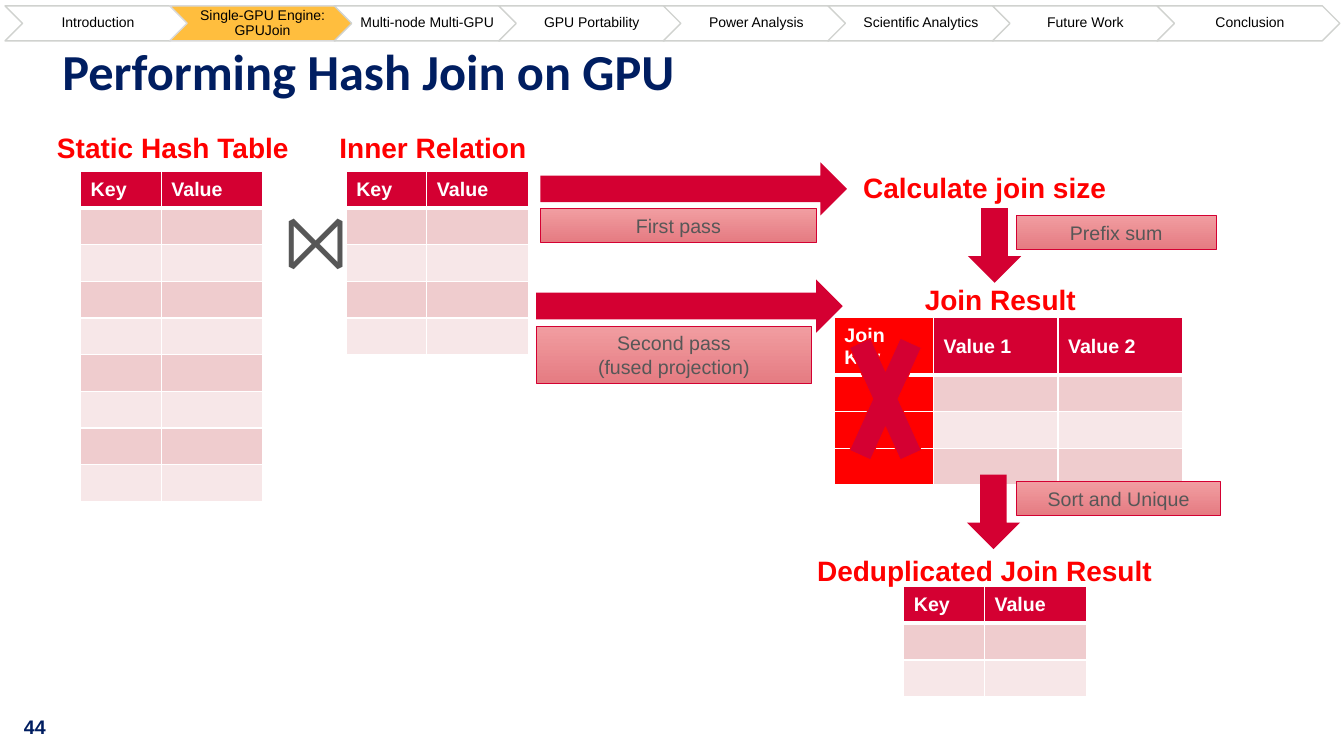
from lxml.etree import SubElement
from pptx import Presentation
from pptx.dml.color import RGBColor
from pptx.enum.shapes import MSO_SHAPE
from pptx.enum.text import MSO_ANCHOR, PP_ALIGN
from pptx.oxml.ns import qn
from pptx.util import Pt

# Content: positions are left, top, width, height in points
CRIMSON, RED, NAVY, GREY = "D40032", "FF0000", "001E61", "575757"
BANDS = ("EFCCCE", "F7E7E8")

STEPS = ["Introduction", "Single-GPU Engine: GPUJoin", "Multi-node Multi-GPU",
         "GPU Portability", "Power Analysis", "Scientific Analytics",
         "Future Work", "Conclusion"]
CURRENT_STEP = 1

TITLE = ("Performing Hash Join on GPU", (44.6, 33.8, 870, 64))
PAGE_NUMBER = ("44", (10, 507, 47.5, 24.2))
JOIN_SYMBOL = ("⨝", (196.6, 134.6, 43.2, 72.7))

HEADINGS = [
    ("Static Hash Table", (29.5, 90, 188, 31.5)),
    ("Inner Relation", (206, 90, 206.6, 31.5)),
    ("Calculate join size", (585.4, 118, 236, 31.5)),
    ("Join Result", (611.3, 198, 206.6, 31.5)),
    ("Deduplicated Join Result", (573, 391.7, 260.6, 31.5)),
]

# left, top, column widths, header height, header, empty rows, red columns
PAIR = (57.6, 72.7)
ROW_H = 26.2
TABLES = [
    (57.6, 122.4, PAIR, ROW_H, ["Key", "Value"], 8, 0),
    (247.3, 122.4, PAIR, ROW_H, ["Key", "Value"], 4, 0),
    (596, 227, (70.9, 88.8, 88.8), 40.9, ["Join Key", "Value 1", "Value 2"], 3, 1),
    (645.6, 419, PAIR, ROW_H, ["Key", "Value"], 2, 0),
]

ARROWS = [
    (MSO_SHAPE.DOWN_ARROW, (691.4, 148.7, 38, 53.3)),
    (MSO_SHAPE.RIGHT_ARROW, (386, 115.9, 219, 38)),
    (MSO_SHAPE.RIGHT_ARROW, (383, 199.6, 219, 38)),
    (MSO_SHAPE.DOWN_ARROW, (690.6, 339, 38, 53.3)),
]
CROSS = (597.6, 208, 69.8, 154)

LABELS = [
    ("First pass", (386, 149, 197.3, 24.2)),
    ("Second pass\n(fused projection)", (383, 232.8, 196.8, 41)),
    ("Prefix sum", (726, 153.8, 142.6, 24.2)),
    ("Sort and Unique", (726, 344, 146, 24.2)),
]

prs = Presentation()
prs.slide_width, prs.slide_height = Pt(960), Pt(540)
s = prs.slides.add_slide(prs.slide_layouts[6])


def rgb(hex_color):
    return RGBColor.from_string(hex_color)


def write(tf, text, size, color, bold=False, align=PP_ALIGN.CENTER,
          font="Arial", spacing=None):
    tf.text = text
    tf.word_wrap = True
    for p in tf.paragraphs:
        p.alignment = align
        p.line_spacing = spacing
        for r in p.runs:
            r.font.name, r.font.size, r.font.bold = font, Pt(size), bold
            r.font.color.rgb = rgb(color)


def set_margins(tf, left, top, right, bottom):
    tf.margin_left, tf.margin_top = Pt(left), Pt(top)
    tf.margin_right, tf.margin_bottom = Pt(right), Pt(bottom)


def add_text(text, box, size, color, **style):
    tf = s.shapes.add_textbox(*map(Pt, box)).text_frame
    write(tf, text, size, color, **style)
    return tf


def add_shape(kind, box, fill=None, line=None, width=0.5):
    sp = s.shapes.add_shape(kind, *map(Pt, box))
    sp.shadow.inherit = False
    if fill:
        sp.fill.solid()
        sp.fill.fore_color.rgb = rgb(fill)
    if line:
        sp.line.color.rgb = rgb(line)
        sp.line.width = Pt(width)
    else:
        sp.line.fill.background()
    return sp


def style_cell(cell, fill, bottom=1):
    tc_pr = cell._tc.get_or_add_tcPr()
    for side, width in (("L", 1), ("R", 1), ("T", 1), ("B", bottom)):
        ln = SubElement(tc_pr, qn("a:ln" + side), w=str(Pt(width)))
        solid = SubElement(ln, qn("a:solidFill"))
        SubElement(solid, qn("a:srgbClr"), val="FFFFFF")
    cell.fill.solid()
    cell.fill.fore_color.rgb = rgb(fill)


def add_table(left, top, widths, header_h, header, empty_rows, red_columns):
    height = header_h + empty_rows * ROW_H
    box = map(Pt, (left, top, sum(widths), height))
    table = s.shapes.add_table(empty_rows + 1, len(widths), *box).table
    for row in table.rows:
        row.height = Pt(ROW_H)
    table.rows[0].height = Pt(header_h)
    for c, (width, name) in enumerate(zip(widths, header)):
        table.columns[c].width = Pt(width)
        head = table.cell(0, c)
        write(head.text_frame, name, 14, "FFFFFF", bold=True, align=PP_ALIGN.LEFT)
        head.vertical_anchor = MSO_ANCHOR.MIDDLE
        style_cell(head, RED if c < red_columns else CRIMSON, bottom=3)
        for n in range(empty_rows):
            cell = table.cell(n + 1, c)
            # Small end mark keeps the empty row at its set height
            SubElement(cell.text_frame.paragraphs[0]._p, qn("a:endParaRPr"), sz="1400")
            style_cell(cell, RED if c < red_columns else BANDS[n % 2])


# Title and page number
tf = add_text(*TITLE, 36, NAVY, bold=True, align=PP_ALIGN.LEFT,
              font="Calibri", spacing=0.9)
set_margins(tf, 0, 0, 0, 0)
add_text(*PAGE_NUMBER, 14, NAVY, bold=True, align=PP_ALIGN.LEFT)

# Tables and their headings
for table_data in TABLES:
    add_table(*table_data)
for text, box in HEADINGS:
    add_text(text, box, 20, RED, bold=True)
add_text(*JOIN_SYMBOL, 54, GREY)

# Flow arrows, their labels and the cross over the join key
for kind, box in ARROWS:
    add_shape(kind, box, CRIMSON)
for text, box in LABELS:
    sp = add_shape(MSO_SHAPE.RECTANGLE, box, line=CRIMSON)
    sp.fill.gradient()
    sp.fill.gradient_angle = 270
    for stop, color in zip(sp.fill.gradient_stops, ("F19DA1", "E57C82")):
        stop.color.rgb = rgb(color)
    stops = sp.fill.gradient_stops
    stops[0].position, stops[1].position = 0, 1
    write(sp.text_frame, text, 14, GREY)
add_shape(MSO_SHAPE.MATH_MULTIPLY, CROSS, CRIMSON, RED)

# Progress bar
for i, text in enumerate(STEPS):
    fill, line = ("FFBE3E", "D9D9D9") if i == CURRENT_STEP else ("FFFFFF", "D0D2CF")
    box = (3.6 + i * 117.55, 4.2, 130.6, 25)
    sp = add_shape(MSO_SHAPE.CHEVRON, box, fill, line, 1)
    write(sp.text_frame, text, 10, "000000", spacing=0.9)
    set_margins(sp.text_frame, 2.9, 0.7, 0.7, 0.7)
    sp.text_frame.vertical_anchor = MSO_ANCHOR.MIDDLE

prs.save("out.pptx")
